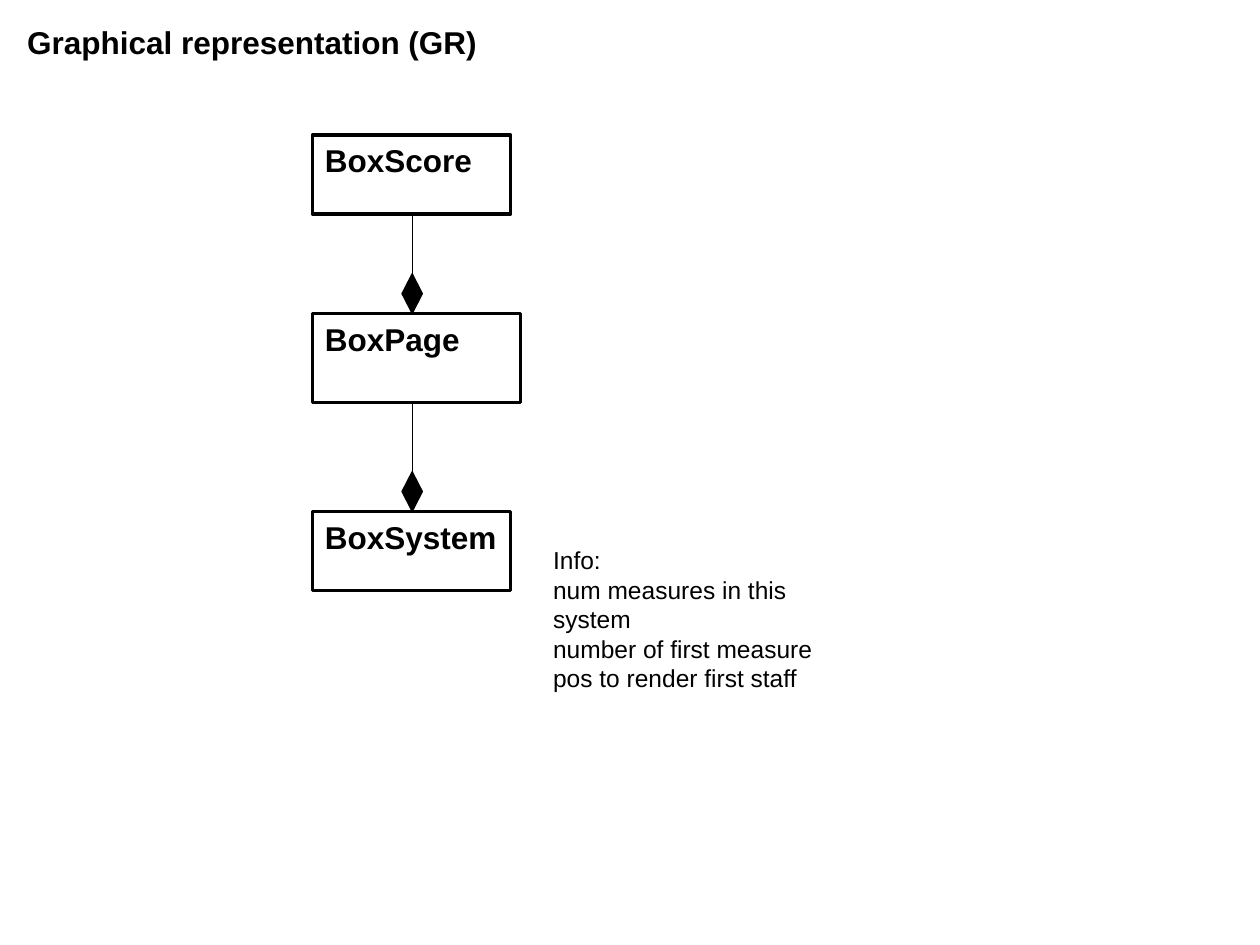
from lxml.etree import SubElement
from pptx import Presentation
from pptx.dml.color import RGBColor as RGB
from pptx.enum.shapes import MSO_CONNECTOR as CONN, MSO_SHAPE as SHAPE
from pptx.enum.text import MSO_ANCHOR as ANCHOR, MSO_AUTO_SIZE as AUTO, PP_ALIGN as ALIGN
from pptx.oxml.ns import qn
from pptx.util import Cm, Pt

COLORS = {"ink": "000000"}
FORMATS = {
    "heading": {"name": "Arial", "size": Pt(18), "bold": True},
    "info": {"name": "Arial", "size": Pt(14), "bold": False},
}
BOX_LEFT, AXIS = 6.3, 8.31
DIAMOND_W, DIAMOND_H = 0.41, 0.8
BOXES = [
    ("BoxScore", 2.72, 3.99, 1.6),
    ("BoxPage", 6.32, 4.19, 1.8),
    ("BoxSystem", 10.31, 3.99, 1.6),
]
INFO = [
    "Info:",
    "num measures in this system",
    "number of first measure",
    "pos to render first staff",
]


def ink():
    return RGB.from_string(COLORS["ink"])


def write(tf, lines, style, wrap):
    tf.word_wrap = wrap
    tf.vertical_anchor = ANCHOR.TOP
    for i, line in enumerate(lines):
        p = tf.add_paragraph() if i else tf.paragraphs[0]
        p.alignment = ALIGN.LEFT
        r = p.add_run()
        r.text = line
        for key, value in FORMATS[style].items():
            setattr(r.font, key, value)
        r.font.color.rgb = ink()


def add_text(s, lines, style, left, top, width, height, wrap=True):
    sp = s.shapes.add_textbox(Cm(left), Cm(top), Cm(width), Cm(height))
    write(sp.text_frame, lines, style, wrap)
    sp.text_frame.auto_size = AUTO.SHAPE_TO_FIT_TEXT


def add_outlined(s, kind, left, top, width, height, weight):
    sp = s.shapes.add_shape(kind, Cm(left), Cm(top), Cm(width), Cm(height))
    sp.shadow.inherit = False
    sp.line.color.rgb = ink()
    sp.line.width = Pt(weight)
    return sp


def add_box(s, name, top, width, height):
    sp = add_outlined(s, SHAPE.RECTANGLE, BOX_LEFT, top, width, height, 2)
    sp.fill.background()
    write(sp.text_frame, [name], "heading", False)


def add_composition(s, start, end):
    sp = add_outlined(s, SHAPE.DIAMOND, AXIS - DIAMOND_W / 2, end - DIAMOND_H,
                      DIAMOND_W, DIAMOND_H, 0.75)
    sp.fill.solid()
    sp.fill.fore_color.rgb = ink()
    line = s.shapes.add_connector(CONN.STRAIGHT, Cm(AXIS), Cm(end), Cm(AXIS), Cm(start))
    line.line.color.rgb = ink()
    line.line.width = Pt(0.75)
    SubElement(line._element.spPr, qn("a:effectLst"))


def main():
    prs = Presentation()
    prs.slide_width, prs.slide_height = Cm(25.4), Cm(19.05)
    s = prs.slides.add_slide(prs.slide_layouts[6])
    add_text(s, ["Graphical representation (GR)"], "heading", 0.3, 0.33, 11.4, 1.02)
    for box in BOXES:
        add_box(s, *box)
    for (_, top, _, height), (_, next_top, _, _) in zip(BOXES, BOXES[1:]):
        add_composition(s, top + height, next_top)
    add_text(s, INFO, "info", 10.9, 10.87, 6.91, 3.23, wrap=False)
    prs.save("out.pptx")


if __name__ == "__main__":
    main()
